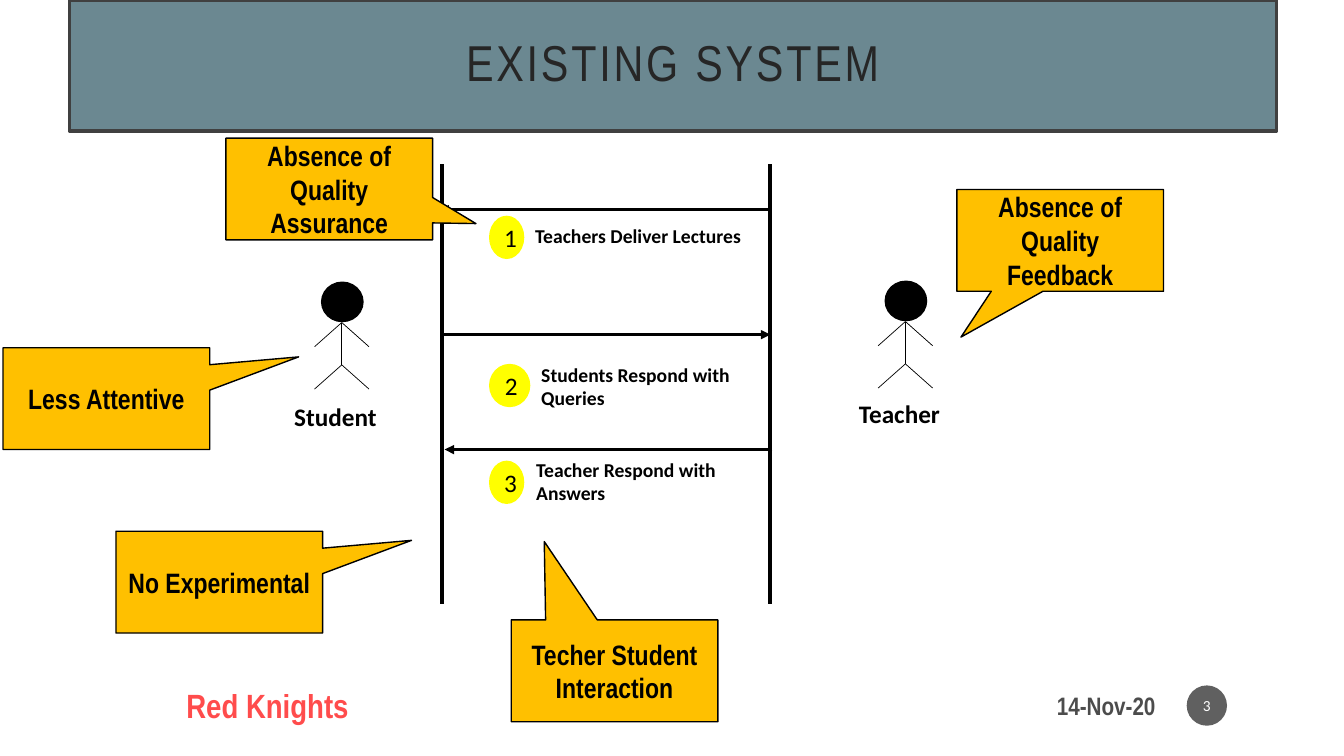
from lxml.etree import SubElement
from pptx import Presentation
from pptx.dml.color import RGBColor
from pptx.enum.shapes import MSO_CONNECTOR, MSO_SHAPE
from pptx.enum.text import MSO_ANCHOR, PP_ALIGN
from pptx.oxml.ns import qn
from pptx.util import Inches, Pt

BLACK = RGBColor(0x00, 0x00, 0x00)
WHITE = RGBColor(0xFF, 0xFF, 0xFF)
RED = RGBColor(0xFF, 0x00, 0x00)
YELLOW = RGBColor(0xFF, 0xFF, 0x00)
AMBER = RGBColor(0xFF, 0xC0, 0x00)
TEAL = RGBColor(0x6B, 0x88, 0x91)
TITLE_BORDER = RGBColor(0x40, 0x40, 0x40)
TITLE_INK = RGBColor(0x26, 0x26, 0x26)
DISC_GREY = RGBColor(0x1D, 0x1D, 0x1D)


def add_box(parent, place, text="", kind=None, fill=None, line=None, width=1,
            size=18, font="Calibri", color=BLACK, bold=False,
            align=PP_ALIGN.CENTER, anchor=MSO_ANCHOR.MIDDLE, wrap=True):
    """Add a preset shape, or a text box when no kind is given."""
    place = [Inches(value) for value in place]
    if kind is None:
        box = parent.add_textbox(*place)
    else:
        box = parent.add_shape(kind, *place)
        box.shadow.inherit = False
        box.fill.solid()
        box.fill.fore_color.rgb = fill
        if line is None:
            box.line.fill.background()
        else:
            box.line.color.rgb = line
            box.line.width = Pt(width)
    frame = box.text_frame
    frame.word_wrap = wrap
    frame.vertical_anchor = anchor
    if text:
        para = frame.paragraphs[0]
        para.alignment = align
        span = para.add_run()
        span.text = text
        span.font.size = Pt(size)
        span.font.name = font
        span.font.bold = bold
        span.font.color.rgb = color
    return box


def add_line(parent, start, end, width, arrow=False):
    line = parent.add_connector(MSO_CONNECTOR.STRAIGHT,
                                *[Inches(value) for value in start + end])
    line.line.color.rgb = BLACK
    line.line.width = Pt(width)
    if arrow:
        SubElement(line.line._get_or_add_ln(), qn("a:tailEnd"), type="triangle")
    SubElement(line._element.spPr, qn("a:effectLst"))


deck = Presentation()
deck.slide_width = Inches(13.33)
deck.slide_height = Inches(7.5)
page = deck.slides.add_slide(deck.slide_layouts[6])
shapes = page.shapes

# Title band
title = add_box(shapes, (0.69, 0, 11.97, 1.3), "EXISTING SYSTEM", MSO_SHAPE.RECTANGLE,
                TEAL, TITLE_BORDER, 2.5, size=36, font="Arial Narrow", color=TITLE_INK)
frame = title.text_frame
frame.margin_left = frame.margin_right = Inches(0.2)
frame.margin_top = frame.margin_bottom = Inches(0.2)
frame.paragraphs[0].line_spacing = 0.9
frame.paragraphs[0].runs[0].font._element.set("spc", "200")

# Footer, see-through at 70 %
date = add_box(shapes, (8.55, 6.82, 3.01, 0.35), "14-Nov-20", font="Arial Narrow",
               bold=True, align=PP_ALIGN.RIGHT)
team = add_box(shapes, (1.75, 6.82, 6.45, 0.35), "Red Knights", size=24,
               font="Arial Narrow", color=RED, bold=True, align=PP_ALIGN.LEFT)
number = add_box(shapes, (11.77, 6.8, 0.4, 0.4), "3", MSO_SHAPE.OVAL, DISC_GREY,
                 size=11, color=WHITE)
number.text_frame.margin_left = number.text_frame.margin_right = Inches(0.02)
for item in (date, team, number):
    first_color = next(item._element.iter(qn("a:srgbClr")))
    SubElement(first_color, qn("a:alpha"), val="70000")

# Lifelines
for x in (4.38, 7.64):
    add_line(shapes, (x, 1.63), (x, 5.99), 3)

# Stick figures with their names
for name, x, top, label_left, label_top in (
    ("Student", 3.39, 2.8, 2.82, 3.93),
    ("Teacher", 8.98, 2.79, 8.42, 3.9),
):
    figure = shapes.add_group_shape().shapes
    add_box(figure, (x - 0.2, top, 0.41, 0.39), kind=MSO_SHAPE.OVAL, fill=BLACK, line=BLACK)
    neck, hip = top + 0.4, top + 0.82
    add_line(figure, (x, neck), (x, hip), 0.5)
    for joint in (neck, hip):
        for reach in (-0.27, 0.27):
            add_line(figure, (x, joint), (x + reach, joint + 0.24), 0.5)
    add_box(shapes, (label_left, label_top, 1.14, 0.4), name, bold=True,
            align=PP_ALIGN.LEFT, anchor=MSO_ANCHOR.TOP, wrap=False)

# Numbered messages: arrow from, to, height; label place; disc top and width
messages = (
    ("Teachers Deliver Lectures", 7.62, 4.36, 2.08, (5.21, 2.17, 2.52, 0.34), 2.14, 0.35),
    ("Students Respond with Queries", 4.38, 7.64, 3.32, (5.27, 3.55, 2.16, 0.57), 3.61, 0.41),
    ("Teacher Respond with Answers", 7.66, 4.41, 4.46, (5.22, 4.49, 2.16, 0.57), 4.57, 0.35),
)
for step, (text, start, end, y, place, disc_top, disc_width) in enumerate(messages, 1):
    add_line(shapes, (start, y), (end, y), 2.25, arrow=True)
    message = shapes.add_group_shape().shapes
    add_box(message, place, text, size=14, bold=True, align=PP_ALIGN.LEFT,
            anchor=MSO_ANCHOR.TOP)
    add_box(message, (4.85, disc_top, disc_width, 0.43), str(step), MSO_SHAPE.OVAL, YELLOW)

# Callouts: text, left, top, pointer offset
for text, left, top, pointer in (
    ("Absence of Quality Assurance", 2.24, 1.37, (0.71, 0.34)),
    ("Less Attentive", 0.03, 3.45, (0.93, -0.41)),
    ("Absence of Quality Feedback", 9.49, 1.88, (-0.48, 0.95)),
    ("Techer Student Interaction", 5.07, 6.15, (-0.34, -1.27)),
    ("No Experimental", 1.15, 5.27, (0.93, -0.41)),
):
    callout = add_box(shapes, (left, top, 2.05, 1.01), text, MSO_SHAPE.RECTANGULAR_CALLOUT,
                      AMBER, BLACK, size=20, font="Arial Narrow", bold=True)
    callout.adjustments[0], callout.adjustments[1] = pointer

deck.save("out.pptx")
